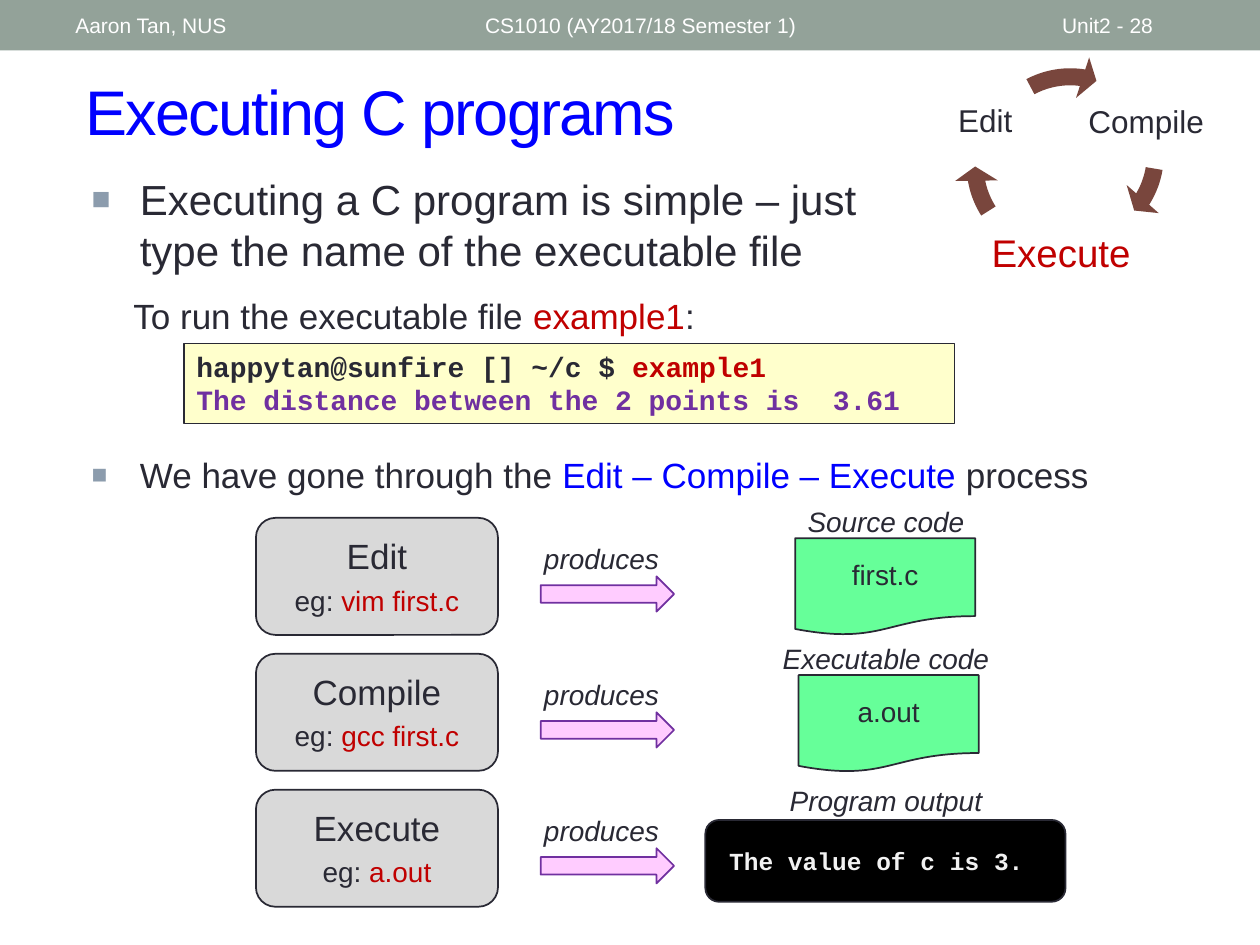
from pptx import Presentation
from pptx import util as u
from pptx.dml.color import RGBColor
from pptx.enum import shapes, text
from pptx.oxml import parse_xml
from pptx.oxml.ns import nsdecls

INK = RGBColor(0x29, 0x29, 0x34)
WHITE = RGBColor(0xFF, 0xFF, 0xFF)
BLACK = RGBColor(0x00, 0x00, 0x00)
BLUE = RGBColor(0x00, 0x00, 0xFF)
RED = RGBColor(0xC0, 0x00, 0x00)
PURPLE = RGBColor(0x70, 0x30, 0xA0)
SAGE = RGBColor(0x93, 0xA2, 0x99)
BROWN = RGBColor(0x79, 0x46, 0x3D)
YELLOW = RGBColor(0xFF, 0xFF, 0xCC)
PINK = RGBColor(0xFF, 0xCC, 0xFF)
GREEN = RGBColor(0x66, 0xFF, 0x99)
GREY = RGBColor(0xD9, 0xD9, 0xD9)
PALE = RGBColor(0xF2, 0xF2, 0xF2)

SHAPE = shapes.MSO_SHAPE
MIDDLE = text.MSO_ANCHOR.MIDDLE
TOP = text.MSO_ANCHOR.TOP
LEFT = text.PP_ALIGN.LEFT
CENTER = text.PP_ALIGN.CENTER
CODE = {"name": "Courier New", "bold": True}
ITALIC = {"italic": True}


def write(box, lines, size, align=LEFT, anchor=TOP, style=None):
    """Fill a box with lines, each a list of (words, colour) spans."""
    frame = box.text_frame
    frame.word_wrap = True
    frame.vertical_anchor = anchor
    values = {"name": "Arial", "size": u.Pt(size), **(style or {})}
    for number, line in enumerate(lines):
        para = frame.add_paragraph() if number else frame.paragraphs[0]
        para.alignment = align
        for words, colour in line:
            span = para.add_run()
            span.text = words
            span.font.color.rgb = colour
            for name, value in values.items():
                setattr(span.font, name, value)
    return frame


def add_label(page, place, spans, size, **layout):
    """Add a one-paragraph text box."""
    box = page.shapes.add_textbox(*map(u.Cm, place))
    return write(box, [spans], size, **layout)


def add_bullet(page, place, spans, size):
    """Add a text box whose paragraph has a square bullet."""
    para = add_label(page, place, spans, size).paragraphs[0]
    properties = para._p.get_or_add_pPr()
    properties.set("marL", str(u.Cm(0.97)))
    properties.set("indent", str(u.Cm(-0.97)))
    for mark in (
        '<a:buClr {}><a:srgbClr val="8C9CAD"/></a:buClr>',
        '<a:buSzPct {} val="75000"/>',
        '<a:buFont {} typeface="Arial"/>',
        '<a:buChar {} char="■"/>',
    ):
        properties.append(parse_xml(mark.format(nsdecls("a"))))


def add_figure(page, kind, place, fill, line=None, width=1, adjust=()):
    """Add a filled preset shape."""
    figure = page.shapes.add_shape(kind, *map(u.Cm, place))
    figure.shadow.inherit = False
    figure.fill.solid()
    figure.fill.fore_color.rgb = fill
    if line is None:
        figure.line.fill.background()
    else:
        figure.line.color.rgb = line
        figure.line.width = u.Pt(width)
    for index, value in enumerate(adjust):
        figure.adjustments[index] = value
    return figure


def add_header(page):
    """Add the top band and its three texts."""
    add_figure(page, SHAPE.RECTANGLE, (0, 0, 25.4, 1.02), SAGE)
    for left, width, words in (
        (1.27, 8.05, "Aaron Tan, NUS"),
        (9.53, 11.43, "CS1010 (AY2017/18 Semester 1)"),
        (21.16, 2.97, "Unit2 - 28"),
    ):
        add_label(page, (left, 0.05, width, 0.91), [(words, WHITE)], 12, anchor=MIDDLE)


def add_cycle(page):
    """Add the edit, compile, execute cycle."""
    for left, top, end, start in (
        (19.43, 0.97, 18.97, 5.72),
        (19.23, 1.19, 101.79, 88.55),
        (19.43, 1.12, 167.03, 145.28),
    ):
        add_figure(page, SHAPE.CIRCULAR_ARROW, (left, top, 4.29, 4.29), BROWN,
                   adjust=(0.08, 5.76, end, start, 0.1))
    for place, words, size, colour in (
        ((18.95, 1.55, 1.83, 1.83), "Edit", 18, INK),
        ((21.34, 1.57, 3.53, 1.83), "Compile", 18, INK),
        ((19.89, 4.22, 3, 1.83), "Execute", 22, RED),
    ):
        frame = add_label(page, place, [(words, colour)], size, align=CENTER, anchor=MIDDLE)
        frame.paragraphs[0].line_spacing = 0.9
        for side in ("left", "top", "right", "bottom"):
            setattr(frame, f"margin_{side}", u.Cm(0.08))


def add_step(page, top, name, command):
    """Add one process step and its arrow."""
    add_figure(page, SHAPE.ROUNDED_RECTANGLE, (5.16, top, 4.88, 2.36), GREY, INK)
    add_label(page, (5.16, top + 0.22, 4.88, 1.12), [(name, INK)], 20, align=CENTER)
    add_label(page, (5.16, top + 1.19, 4.88, 0.94),
              [("eg: ", INK), (command, RED)], 16, align=CENTER)
    add_label(page, (10.64, top + 0.36, 2.97, 0.94), [("produces", INK)], 16,
              align=CENTER, style=ITALIC)
    add_figure(page, SHAPE.RIGHT_ARROW, (10.9, top + 1.18, 2.69, 0.71), PINK, PURPLE)


def add_caption(page, top, words):
    """Add the italic caption above a result."""
    add_label(page, (15.42, top, 4.88, 0.94), [(words, INK)], 16, align=CENTER, style=ITALIC)


def add_document(page, left, top, caption, name):
    """Add a captioned file symbol."""
    add_figure(page, SHAPE.FLOWCHART_DOCUMENT, (left, top, 3.63, 1.96), GREEN, INK)
    add_caption(page, top - 0.8, caption)
    add_label(page, (left, top + 0.27, 3.63, 0.94), [(name, INK)], 16, align=CENTER)


def add_output(page, top):
    """Add the captioned program output screen."""
    add_figure(page, SHAPE.ROUNDED_RECTANGLE, (14.22, top, 7.26, 1.65), BLACK, INK)
    add_caption(page, top - 0.86, "Program output")
    add_label(page, (14.45, top + 0.4, 6.83, 0.86),
              [("The value of c is 3.", PALE)], 14, style=CODE)


def add_terminal(page):
    """Add the terminal session."""
    box = add_figure(page, SHAPE.RECTANGLE, (3.71, 6.92, 15.54, 1.62), YELLOW, INK, 0.75)
    write(box, [
        [("happytan@sunfire [] ~/c $ ", INK), ("example1", RED)],
        [("The distance between the 2 points is  3.61", PURPLE)],
    ], 16, style=CODE)


def main():
    """Build and save the slide."""
    deck = Presentation()
    deck.slide_width, deck.slide_height = u.Cm(25.4), u.Cm(19.05)
    page = deck.slides.add_slide(deck.slide_layouts[6])
    add_header(page)
    title = add_label(page, (1.47, 1.27, 17, 1.9), [("Executing C programs", BLUE)], 36,
                      anchor=MIDDLE)
    title.paragraphs[0].runs[0].font._element.set("spc", "-100")
    add_cycle(page)
    add_bullet(page, (1.6, 3.38, 17.45, 2.41), [
        ("Executing a C program is simple – just type the name of the executable file", INK),
    ], 24)
    add_label(page, (2.44, 5.82, 12.57, 1.12), [
        ("To run the executable file ", INK), ("example1", RED), (":", INK),
    ], 20)
    add_terminal(page)
    add_bullet(page, (1.6, 9.02, 22.48, 1.42), [
        ("We have gone through the ", INK), ("Edit – Compile – Execute ", BLUE),
        ("process", INK),
    ], 20)
    steps = (("Edit", "vim first.c"), ("Compile", "gcc first.c"), ("Execute", "a.out"))
    for row, (name, command) in enumerate(steps):
        add_step(page, 10.44 + 2.74 * row, name, command)
    add_document(page, 16.03, 10.85, "Source code", "first.c")
    add_document(page, 16.1, 13.61, "Executable code", "a.out")
    add_output(page, 16.53)
    deck.save("out.pptx")


if __name__ == "__main__":
    main()
